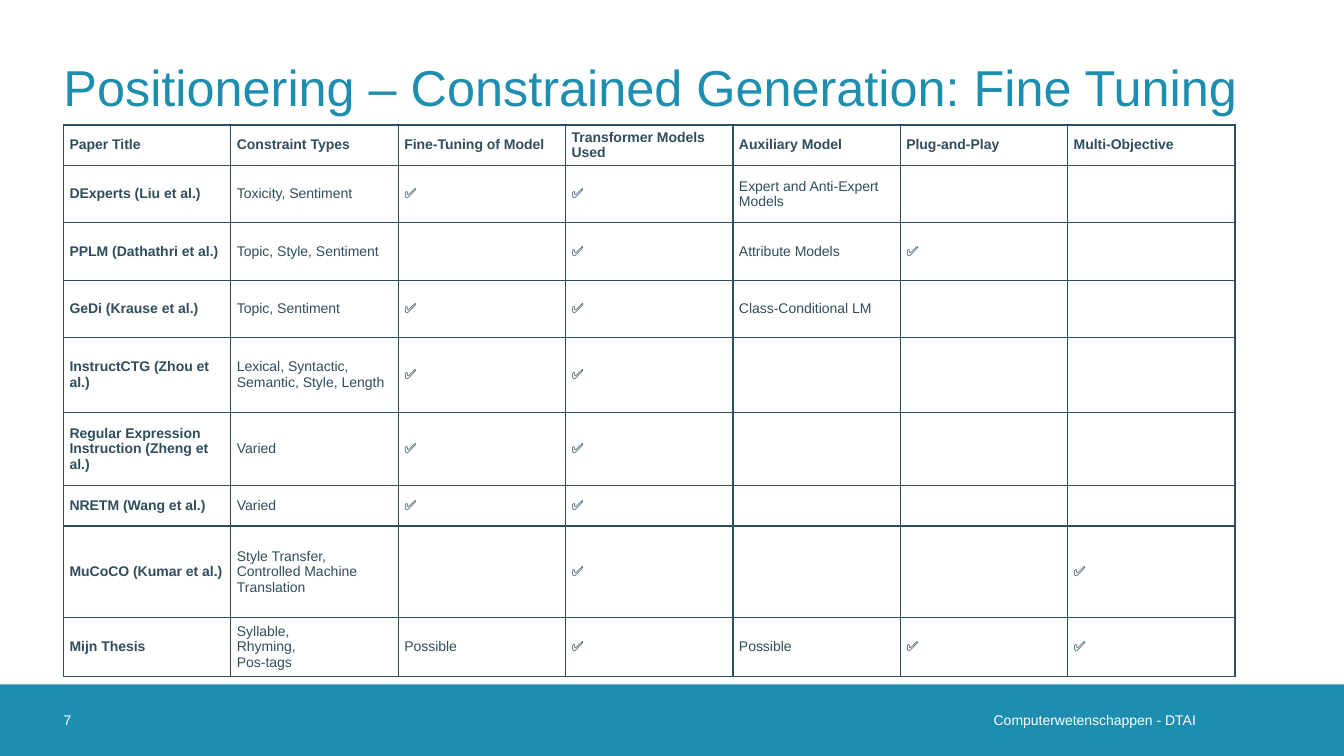
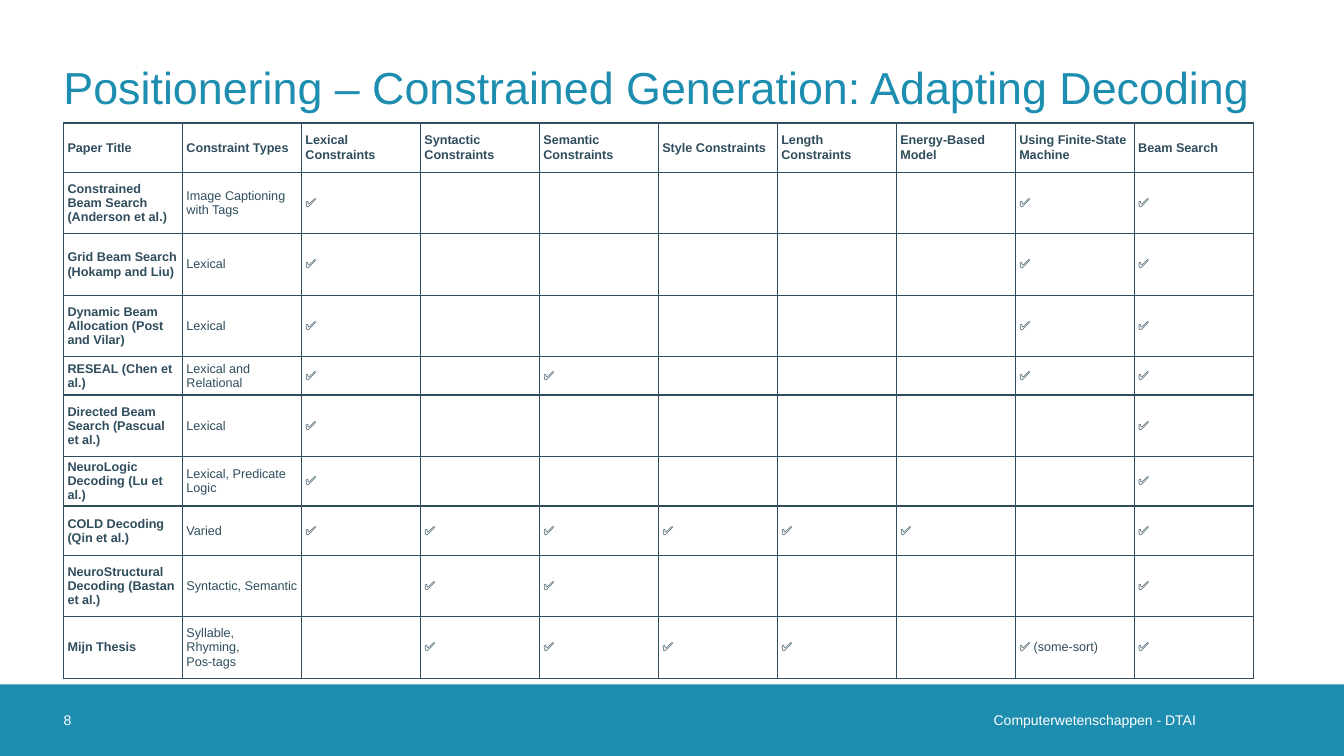
"""Builds two slides that position papers on constrained text generation."""
from dataclasses import dataclass

from lxml import etree
from pptx import Presentation
from pptx.dml.color import RGBColor
from pptx.enum import shapes, text
from pptx.oxml import ns
from pptx.util import Emu, Pt

EMU_PER_PX = 9144
YES = "✅"
NO = ""


@dataclass(frozen=True)
class Theme:
    """Colours, font and type sizes shared by all slides."""
    font: str = "Arial"
    accent: str = "1D8DB0"
    ink: str = "2F4D5D"
    paper: str = "FFFFFF"
    footer_size: int = 10
    border_width: int = 1


@dataclass(frozen=True)
class Box:
    """A rectangle in px."""
    left: int
    top: int
    width: int
    height: int

    def emu(self) -> tuple[Emu, ...]:
        """Return the rectangle in EMU."""
        return tuple(px(side) for side in (self.left, self.top, self.width, self.height))


@dataclass(frozen=True)
class Style:
    """The look of a piece of text."""
    size: int
    color: str
    bold: bool = False


@dataclass(frozen=True)
class Row:
    """One table row: its height in px and its cell texts."""
    height: int
    cells: tuple[str, ...]


@dataclass(frozen=True)
class Page:
    """One comparison slide."""
    number: int
    title: str
    title_size: int
    table_top: int
    column_width: int
    cell_size: int
    margin_x: int
    margin_y: int
    rows: tuple[Row, ...]


THEME = Theme()
PAGE_WIDTH, PAGE_HEIGHT = 1333, 750
LEFT = 63
BAND = Box(0, 679, PAGE_WIDTH, 71)
FOOTER = Box(660, BAND.top, 546, BAND.height)
NUMBER = Box(LEFT, BAND.top, 71, BAND.height)
TITLE = Box(LEFT, 23, 1207, 126)
FOOTER_TEXT = "Computerwetenschappen - DTAI"
THESIS = ("Mijn Thesis", "Syllable,\vRhyming,\vPos-tags")

PAGES = (
    Page(7, "Positionering – Constrained Generation: Fine Tuning", 36, 124, 166, 10, 6, 3, (
        Row(40, ("Paper Title", "Constraint Types", "Fine-Tuning of Model", "Transformer Models Used",
                 "Auxiliary Model", "Plug-and-Play", "Multi-Objective")),
        Row(57, ("DExperts (Liu et al.)", "Toxicity, Sentiment", YES, YES,
                 "Expert and Anti-Expert Models", NO, NO)),
        Row(57, ("PPLM (Dathathri et al.)", "Topic, Style, Sentiment", NO, YES, "Attribute Models", YES, NO)),
        Row(57, ("GeDi (Krause et al.)", "Topic, Sentiment", YES, YES, "Class-Conditional LM", NO, NO)),
        Row(74, ("InstructCTG (Zhou et al.)", "Lexical, Syntactic, Semantic, Style, Length",
                 YES, YES, NO, NO, NO)),
        Row(73, ("Regular Expression Instruction (Zheng et al.)", "Varied", YES, YES, NO, NO, NO)),
        Row(40, ("NRETM (Wang et al.)", "Varied", YES, YES, NO, NO, NO)),
        Row(91, ("MuCoCO (Kumar et al.)", "Style Transfer, Controlled Machine Translation",
                 NO, YES, NO, NO, YES)),
        Row(58, (*THESIS, "Possible", YES, "Possible", YES, YES)),
    )),
    Page(8, "Positionering – Constrained Generation: Adapting Decoding", 32, 122, 118, 9, 4, 2, (
        Row(49, ("Paper Title", "Constraint Types", "Lexical Constraints", "Syntactic Constraints",
                 "Semantic Constraints", "Style Constraints", "Length Constraints",
                 "Energy-Based Model", "Using Finite-State Machine", "Beam Search")),
        Row(61, ("Constrained Beam Search (Anderson et al.)", "Image Captioning with Tags",
                 YES, NO, NO, NO, NO, NO, YES, YES)),
        Row(61, ("Grid Beam Search (Hokamp and Liu)", "Lexical", YES, NO, NO, NO, NO, NO, YES, YES)),
        Row(61, ("Dynamic Beam Allocation (Post and Vilar)", "Lexical",
                 YES, NO, NO, NO, NO, NO, YES, YES)),
        Row(38, ("RESEAL (Chen et al.)", "Lexical and Relational",
                 YES, NO, YES, NO, NO, NO, YES, YES)),
        Row(61, ("Directed Beam Search (Pascual et al.)", "Lexical",
                 YES, NO, NO, NO, NO, NO, NO, YES)),
        Row(49, ("NeuroLogic Decoding (Lu et al.)", "Lexical, Predicate Logic",
                 YES, NO, NO, NO, NO, NO, NO, YES)),
        Row(49, ("COLD Decoding (Qin et al.)", "Varied", YES, YES, YES, YES, YES, YES, NO, YES)),
        Row(61, ("NeuroStructural Decoding (Bastan et al.)", "Syntactic, Semantic",
                 NO, YES, YES, NO, NO, NO, NO, YES)),
        Row(61, (*THESIS, NO, YES, YES, YES, YES, NO, f"{YES} (some-sort)", YES)),
    )),
)


def px(length: int) -> Emu:
    """Turn px into EMU."""
    return Emu(length * EMU_PER_PX)


def write(frame, content: str, style: Style) -> None:
    """Fill a text frame and format its spans."""
    frame.text = content
    for para in frame.paragraphs:
        for span in para.runs:
            span.font.name = THEME.font
            span.font.size = Pt(style.size)
            span.font.bold = style.bold
            span.font.color.rgb = RGBColor.from_string(style.color)


def add_text(slide, box: Box, content: str, style: Style,
             align=text.PP_ALIGN.LEFT, margin_right: int = 0) -> None:
    """Add a vertically centred text box."""
    frame = slide.shapes.add_textbox(*box.emu()).text_frame
    frame.word_wrap = True
    frame.vertical_anchor = text.MSO_ANCHOR.MIDDLE
    frame.margin_left = frame.margin_top = frame.margin_bottom = 0
    frame.margin_right = px(margin_right)
    write(frame, content, style)
    frame.paragraphs[0].alignment = align


def add_borders(cell) -> None:
    """Draw a thin line on all four sides of a cell."""
    properties = cell._tc.get_or_add_tcPr()
    for side in ("a:lnL", "a:lnR", "a:lnT", "a:lnB"):
        line = etree.SubElement(properties, ns.qn(side), w=str(Pt(THEME.border_width)))
        fill = etree.SubElement(line, ns.qn("a:solidFill"))
        etree.SubElement(fill, ns.qn("a:srgbClr"), val=THEME.ink)


def add_comparison(slide, page: Page) -> None:
    """Add the table that compares the papers."""
    column_count = len(page.rows[0].cells)
    box = Box(LEFT, page.table_top, column_count * page.column_width, sum(row.height for row in page.rows))
    table = slide.shapes.add_table(len(page.rows), column_count, *box.emu()).table
    table.first_row = table.horz_banding = False
    for column in table.columns:
        column.width = px(page.column_width)
    for row_index, row in enumerate(page.rows):
        table.rows[row_index].height = px(row.height)
        for column_index, content in enumerate(row.cells):
            cell = table.cell(row_index, column_index)
            cell.margin_left = cell.margin_right = px(page.margin_x)
            cell.margin_top = cell.margin_bottom = px(page.margin_y)
            cell.vertical_anchor = text.MSO_ANCHOR.MIDDLE
            add_borders(cell)
            cell.fill.background()
            if content:
                heading = row_index == 0 or column_index == 0
                write(cell.text_frame, content, Style(page.cell_size, THEME.ink, heading))


def add_frame(slide, page: Page) -> None:
    """Add the band, footer, page number and title."""
    band = slide.shapes.add_shape(shapes.MSO_SHAPE.RECTANGLE, *BAND.emu())
    band.shadow.inherit = False
    band.fill.solid()
    band.fill.fore_color.rgb = RGBColor.from_string(THEME.accent)
    band.line.fill.background()
    footer_style = Style(THEME.footer_size, THEME.paper)
    add_text(slide, FOOTER, FOOTER_TEXT, footer_style, text.PP_ALIGN.RIGHT, 20)
    add_text(slide, NUMBER, str(page.number), footer_style)
    add_text(slide, TITLE, page.title, Style(page.title_size, THEME.accent))


def main() -> None:
    """Build and save the deck."""
    deck = Presentation()
    deck.slide_width, deck.slide_height = px(PAGE_WIDTH), px(PAGE_HEIGHT)
    for page in PAGES:
        slide = deck.slides.add_slide(deck.slide_layouts[6])
        add_frame(slide, page)
        add_comparison(slide, page)
    deck.save("out.pptx")


if __name__ == "__main__":
    main()
